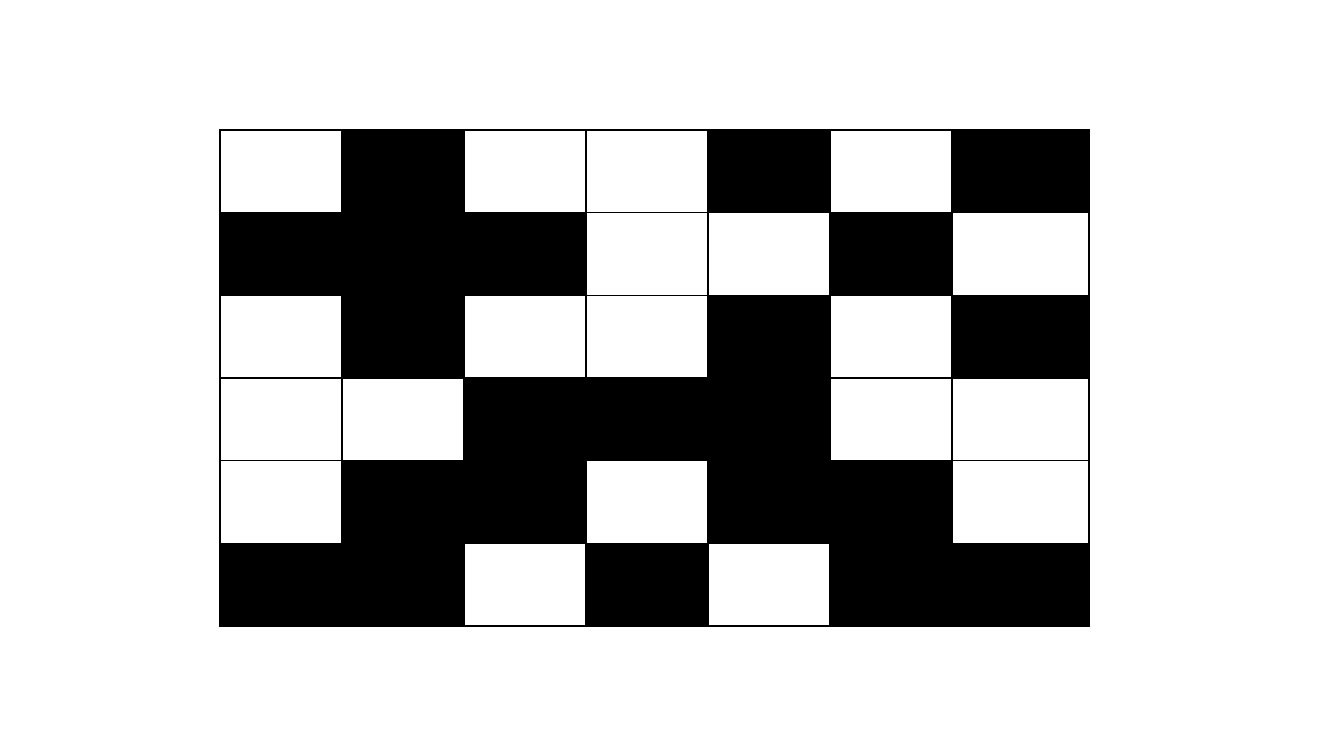
"""Build a slide with a grid of black and white squares."""
from typing import NamedTuple

from lxml import etree
from pptx import Presentation
from pptx import util as u
from pptx.dml.color import RGBColor
from pptx.oxml import ns

EMU_PER_PIXEL = 914400 / 100.8
SLIDE_WIDTH, SLIDE_HEIGHT = 1344, 756
GRID_LEFT, GRID_TOP, GRID_HEIGHT = 220, 130, 496
COLUMN_WIDTHS = [122] * 6 + [137]
BLACK = "000000"
BORDER_POINTS = 0.96
PATTERN = (
    ".#..#.#",
    "###..#.",
    ".#..#.#",
    "..###..",
    ".##.##.",
    "##.#.##",
)


class Square(NamedTuple):
    row: int
    column: int
    filled: bool


def px(pixels: float) -> u.Emu:
    return u.Emu(round(pixels * EMU_PER_PIXEL))


def paint(fill, colour: str) -> None:
    fill.solid()
    fill.fore_color.rgb = RGBColor.from_string(colour)


def add_borders(cell, colour: str, points: float) -> None:
    properties = cell._tc.get_or_add_tcPr()
    for position, side in enumerate(("lnL", "lnR", "lnT", "lnB")):
        border = etree.Element(ns.qn(f"a:{side}"), w=str(u.Pt(points)))
        solid = etree.SubElement(border, ns.qn("a:solidFill"))
        etree.SubElement(solid, ns.qn("a:srgbClr"), val=colour)
        properties.insert(position, border)


def draw_square(grid, square: Square) -> None:
    cell = grid.cell(square.row, square.column)
    if square.filled:
        paint(cell.fill, BLACK)
    else:
        cell.fill.background()
    cell.text_frame.paragraphs[0].font.name = "Calibri"
    add_borders(cell, BLACK, BORDER_POINTS)


def add_grid(slide, squares: list[Square]) -> None:
    grid = slide.shapes.add_table(
        len(PATTERN), len(COLUMN_WIDTHS), px(GRID_LEFT), px(GRID_TOP),
        px(sum(COLUMN_WIDTHS)), px(GRID_HEIGHT),
    ).table
    grid.first_row = grid.horz_banding = False
    for column, width in zip(grid.columns, COLUMN_WIDTHS):
        column.width = px(width)
    for row in grid.rows:
        row.height = px(GRID_HEIGHT / len(PATTERN))
    for square in squares:
        draw_square(grid, square)


presentation = Presentation()
presentation.slide_width = px(SLIDE_WIDTH)
presentation.slide_height = px(SLIDE_HEIGHT)
pattern_slide = presentation.slides.add_slide(presentation.slide_layouts[6])
add_grid(pattern_slide, [
    Square(row, column, mark == "#")
    for row, marks in enumerate(PATTERN)
    for column, mark in enumerate(marks)
])
presentation.save("out.pptx")
